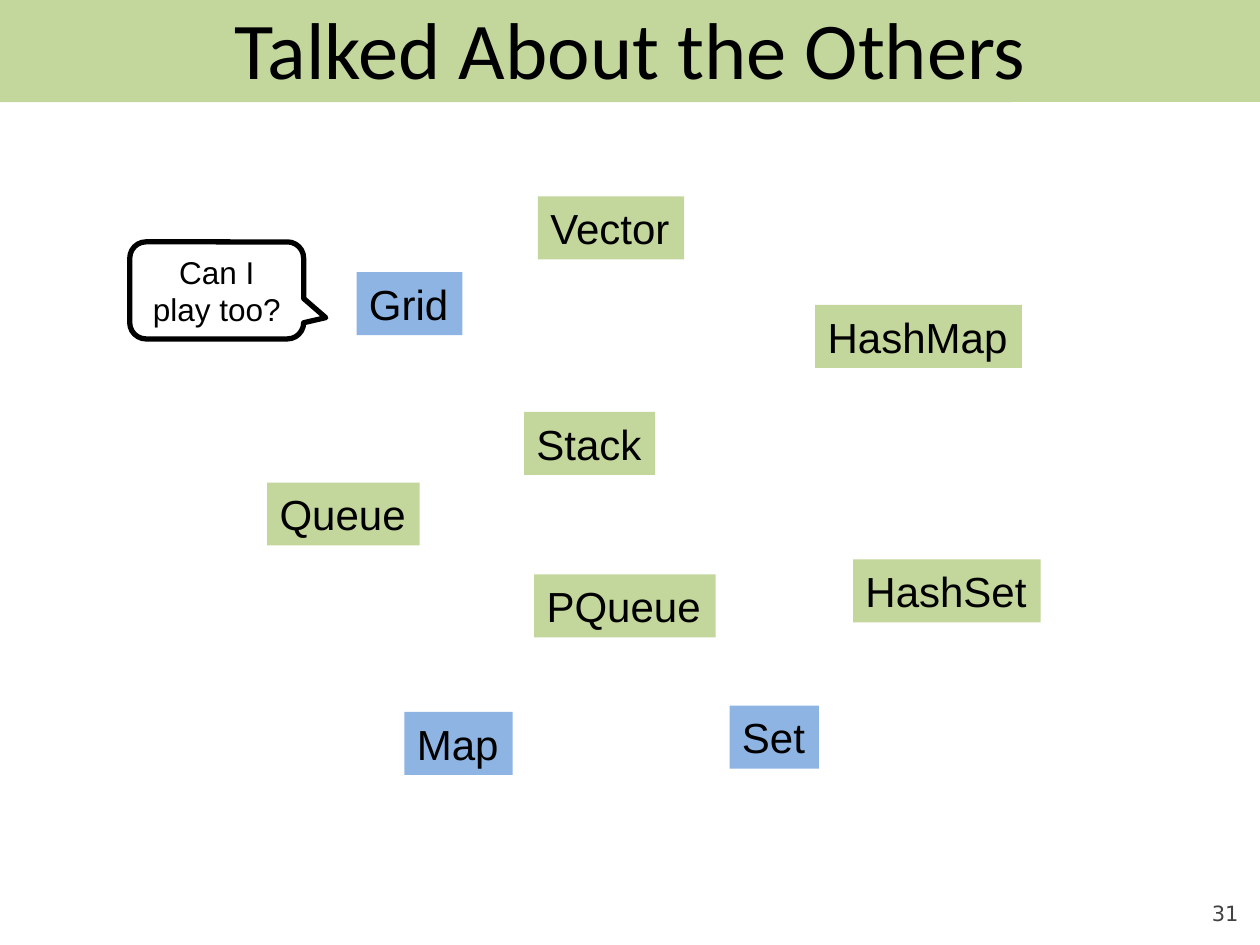
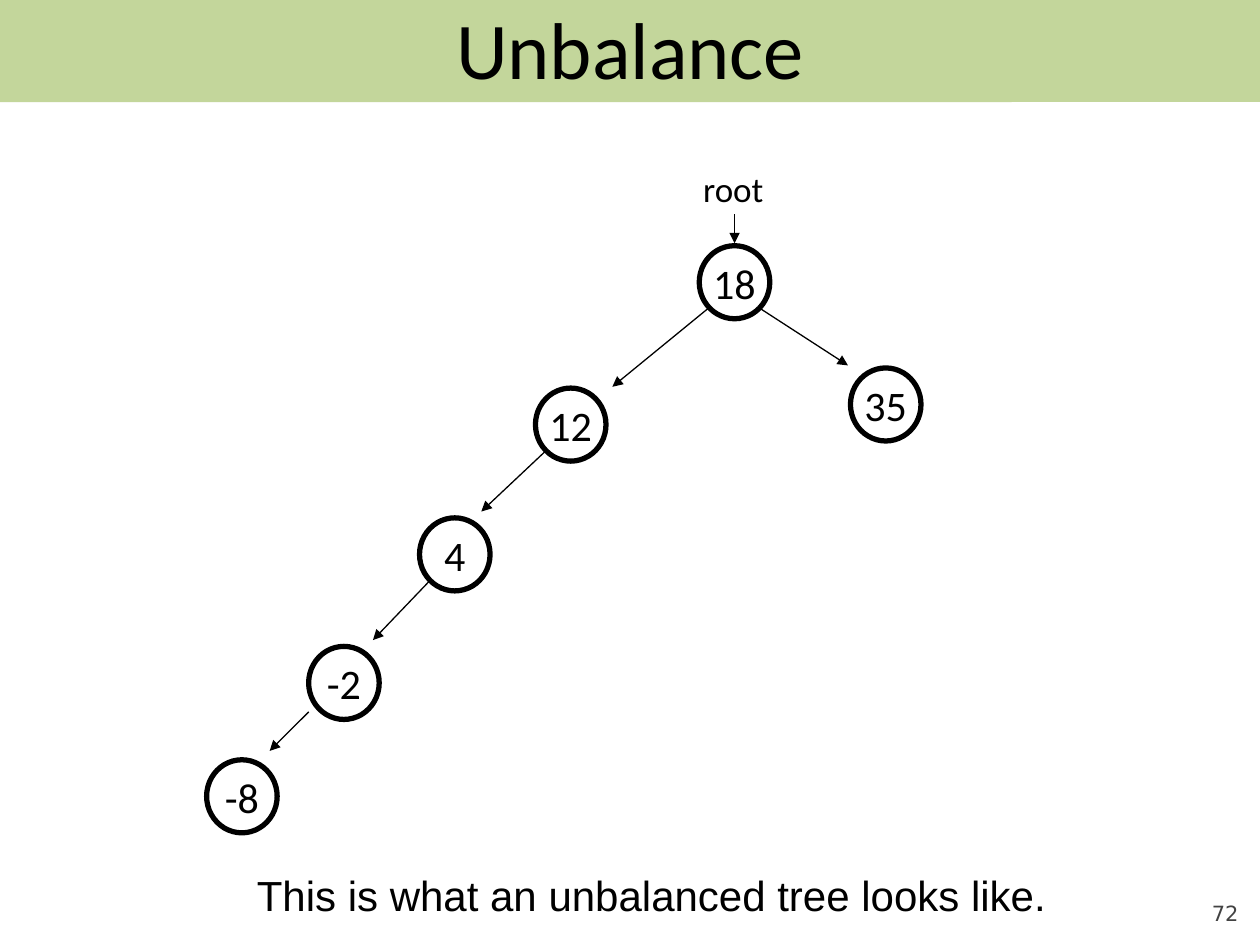
from pptx import Presentation
from pptx.dml.color import RGBColor
from pptx.enum.shapes import MSO_CONNECTOR, MSO_SHAPE
from pptx.enum.text import MSO_ANCHOR, MSO_AUTO_SIZE, PP_ALIGN
from pptx.oxml.ns import qn
from pptx.util import Inches, Pt
from lxml.etree import SubElement

COLORS = {
    "green": "C3D69B",
    "blue": "8EB4E3",
    "white": "FFFFFF",
    "black": "000000",
    "gray": "424242",
}
TITLE_ONLY = 5
LABEL_HEIGHT = 0.5
NODE_SIZE = (0.56, 0.58)

# Collection labels: text, left, top, width, colour
COLLECTIONS = [
    ("Queue", 2.12, 3.83, 1.21, "green"),
    ("Stack", 4.16, 3.27, 1.04, "green"),
    ("Vector", 4.27, 1.56, 1.16, "green"),
    ("PQueue", 4.24, 4.56, 1.44, "green"),
    ("HashMap", 6.47, 2.42, 1.64, "green"),
    ("HashSet", 6.77, 4.44, 1.49, "green"),
    ("Grid", 2.83, 2.16, 0.84, "blue"),
    ("Set", 5.79, 5.6, 0.71, "blue"),
    ("Map", 3.21, 5.65, 0.86, "blue"),
]

# Tree nodes: value, left, top
NODES = [
    ("18", 5.55, 1.95),
    ("12", 4.25, 3.08),
    ("35", 6.75, 2.92),
    ("4", 3.33, 4.11),
    ("-2", 2.45, 5.13),
    ("-8", 1.64, 6.03),
]

# Tree arrows: start x, start y, end x, end y
ARROWS = [
    (5.83, 1.7, 5.83, 1.93),
    (5.63, 2.44, 4.86, 3.07),
    (6.02, 2.44, 6.73, 2.9),
    (4.33, 3.58, 3.82, 4.06),
    (3.41, 4.61, 2.96, 5.08),
    (2.45, 5.65, 2.14, 5.96),
]


def color(name):
    return RGBColor.from_string(COLORS[name])


def write(shape, text, size, font="Arial", align=PP_ALIGN.LEFT,
          anchor=MSO_ANCHOR.TOP, wrap=False, grow=False, ink="black"):
    frame = shape.text_frame
    frame.text = text
    frame.word_wrap = wrap
    frame.auto_size = MSO_AUTO_SIZE.SHAPE_TO_FIT_TEXT if grow else MSO_AUTO_SIZE.NONE
    frame.vertical_anchor = anchor
    paragraph = frame.paragraphs[0]
    paragraph.alignment = align
    paragraph.font.size = Pt(size)
    paragraph.font.name = font
    paragraph.font.color.rgb = color(ink)


def add_shape(slide, kind, box, fill=None, line_width=None):
    shape = slide.shapes.add_shape(kind, *map(Inches, box))
    shape.shadow.inherit = False
    if fill:
        shape.fill.solid()
        shape.fill.fore_color.rgb = color(fill)
    else:
        shape.fill.background()
    if line_width:
        shape.line.color.rgb = color("black")
        shape.line.width = Pt(line_width)
    else:
        shape.line.fill.background()
    return shape


def add_text(slide, box, text, size, **style):
    text_box = slide.shapes.add_textbox(*map(Inches, box))
    write(text_box, text, size, **style)
    return text_box


def add_label(slide, text, left, top, width, fill):
    box = (left, top, width, LABEL_HEIGHT)
    label = add_shape(slide, MSO_SHAPE.RECTANGLE, box, fill)
    write(label, text, 24, grow=True)


def add_callout(slide, box, text):
    callout = add_shape(slide, MSO_SHAPE.ROUNDED_RECTANGULAR_CALLOUT, box, line_width=3)
    for index, value in enumerate((0.627, 0.281, 0.167)):
        callout.adjustments[index] = value
    write(callout, text, 18, align=PP_ALIGN.CENTER, anchor=MSO_ANCHOR.MIDDLE, wrap=True)


def add_node(slide, value, left, top):
    node = add_shape(slide, MSO_SHAPE.OVAL, (left, top, *NODE_SIZE), "white", 3)
    write(node, value, 24, "Calibri", PP_ALIGN.CENTER, MSO_ANCHOR.MIDDLE)


def add_arrow(slide, *ends):
    arrow = slide.shapes.add_connector(MSO_CONNECTOR.STRAIGHT, *map(Inches, ends))
    arrow.line.color.rgb = color("black")
    arrow.line.width = Pt(0.75)
    properties = arrow.element.spPr
    SubElement(properties.find(qn("a:ln")), qn("a:tailEnd"), type="triangle")
    SubElement(properties, qn("a:effectLst"))


def add_slide(presentation, title_text, number):
    slide = presentation.slides.add_slide(presentation.slide_layouts[TITLE_ONLY])
    title = slide.shapes.title

    # Band behind the title
    band = add_shape(slide, MSO_SHAPE.ROUNDED_RECTANGLE, (0, 0, 10, 0.81), "green")
    band.adjustments[0] = 0.001
    title.element.addprevious(band.element)

    # Title
    title.left, title.top, title.width, title.height = map(Inches, (0.5, 0, 9, 0.75))
    write(title, title_text, 46, "Calibri", PP_ALIGN.CENTER, MSO_ANCHOR.MIDDLE, wrap=True)

    # Slide number
    footer = add_text(slide, (9, 6.95, 0.83, 0.4), number, 12, font="DejaVu Sans",
                      align=PP_ALIGN.RIGHT, anchor=MSO_ANCHOR.BOTTOM, wrap=True, ink="gray")
    frame = footer.text_frame
    frame.margin_left = frame.margin_top = frame.margin_right = frame.margin_bottom = 0
    return slide


def build_collections(presentation):
    slide = add_slide(presentation, "Talked About the Others", "31")
    for collection in COLLECTIONS:
        add_label(slide, *collection)
    add_callout(slide, (1.03, 1.92, 1.38, 0.77), "Can I play too?")


def build_tree(presentation):
    slide = add_slide(presentation, "Unbalance", "72")
    for node in NODES:
        add_node(slide, *node)
    for arrow in ARROWS:
        add_arrow(slide, *arrow)
    add_text(slide, (5.48, 1.28, 0.68, 0.43), "root", 20, font="Calibri",
             align=PP_ALIGN.CENTER, grow=True)
    add_text(slide, (1.87, 6.85, 6.53, 0.5), "This is what an unbalanced tree looks like.",
             24, align=PP_ALIGN.RIGHT, grow=True)


def main():
    presentation = Presentation()
    presentation.slide_width = Inches(10)
    presentation.slide_height = Inches(7.5)
    build_collections(presentation)
    build_tree(presentation)
    presentation.save("out.pptx")


if __name__ == "__main__":
    main()
